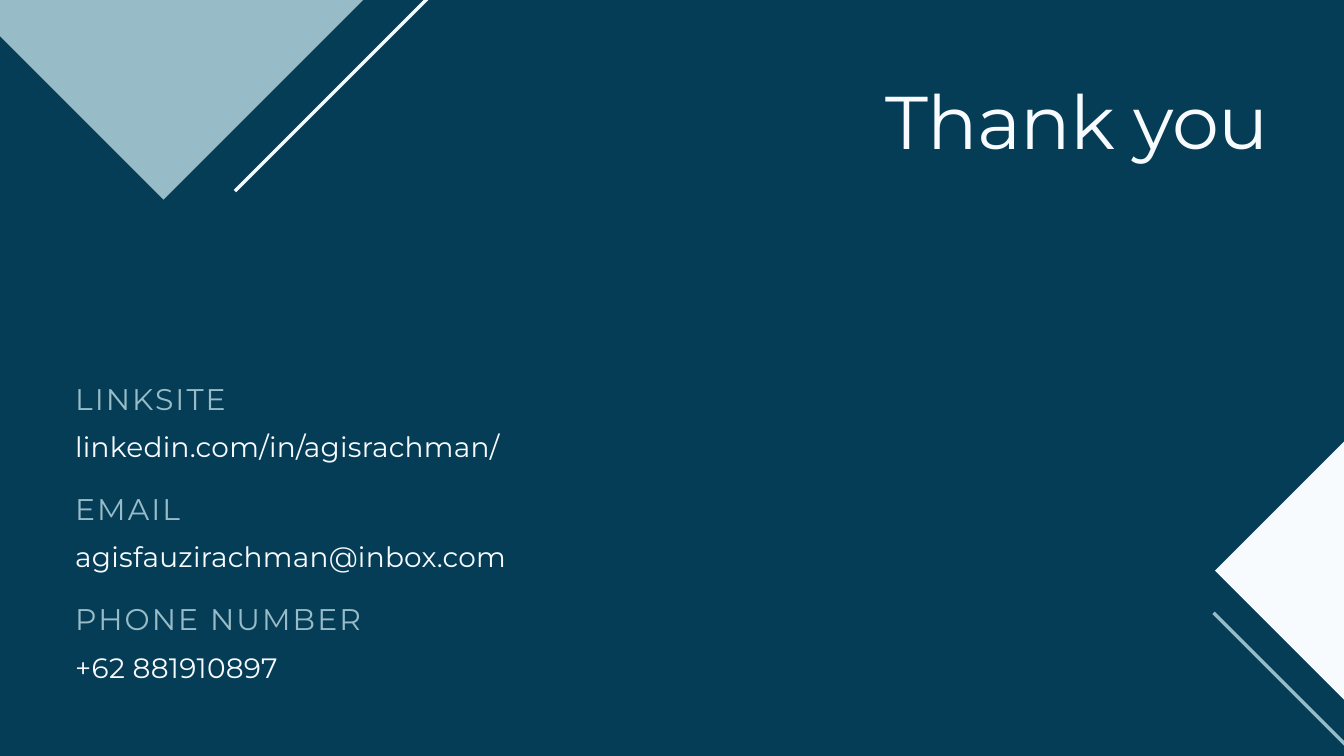
from dataclasses import dataclass

from pptx import Presentation
from pptx.dml.color import RGBColor
from pptx.enum import shapes, text
from pptx.oxml import ns
from pptx.util import Cm, Pt
from lxml import etree


@dataclass(frozen=True)
class Style:
    size: float
    lead: float
    track: int
    color: str


class Theme:
    font = "Montserrat"
    navy = "053D57"
    mist = "97BCC7"
    snow = "F8FBFD"
    title = Style(80, 96, -80, snow)
    label = Style(32, 44.8, 220, mist)
    value = Style(30, 45, 30, snow)
    rule = 3.6


CONTACTS = [
    ("LINKSITE", "linkedin.com/in/agisrachman/"),
    ("EMAIL", "agisfauzirachman@inbox.com"),
    ("PHONE NUMBER", "+62 881910897"),
]


def rgb(code):
    return RGBColor.from_string(code)


def place(holder, left, top, width, height):
    """Move a placeholder and make its frame plain."""
    holder.left, holder.top = Cm(left), Cm(top)
    holder.width, holder.height = Cm(width), Cm(height)
    frame = holder.text_frame
    frame.margin_left = frame.margin_right = 0
    frame.margin_top = frame.margin_bottom = 0
    frame.word_wrap = True
    frame.auto_size = text.MSO_AUTO_SIZE.NONE
    frame.vertical_anchor = text.MSO_ANCHOR.TOP
    return frame


def write(para, words, style, align, before=0):
    para.text = words
    para.alignment = align
    para.line_spacing = Pt(style.lead)
    para.space_before, para.space_after = Pt(before), Pt(0)
    for run in para.runs:
        run.font.name = Theme.font
        run.font.size = Pt(style.size)
        run.font.color.rgb = rgb(style.color)
        run.font._element.set("spc", str(style.track))


def unbullet(para):
    props = para._p.get_or_add_pPr()
    props.set("marL", "0")
    props.set("indent", "0")
    etree.SubElement(props, ns.qn("a:buNone"))


def add_title(slide, words):
    frame = place(slide.shapes.title, 17.5, 2.82, 30.45, 3.4)
    write(frame.paragraphs[0], words, Theme.title, text.PP_ALIGN.RIGHT)


def add_list(slide, pairs):
    frame = place(slide.placeholders[1], 2.84, 14.15, 23.83, 12)
    left = text.PP_ALIGN.LEFT
    for i, (label, value) in enumerate(pairs):
        head = frame.add_paragraph() if i else frame.paragraphs[0]
        body = frame.add_paragraph()
        unbullet(head)
        unbullet(body)
        write(head, label, Theme.label, left, 22.7 if i else 0)
        write(body, value, Theme.value, left, 5.6)


def add_gem(slide, x, y, size, color):
    """Diamond centred on x, y."""
    gem = slide.shapes.add_shape(
        shapes.MSO_SHAPE.DIAMOND,
        Cm(x - size / 2), Cm(y - size / 2), Cm(size), Cm(size))
    gem.shadow.inherit = False
    gem.fill.solid()
    gem.fill.fore_color.rgb = rgb(color)
    gem.line.fill.background()


def add_rule(slide, x, y, dx, dy, color):
    rule = slide.shapes.add_connector(
        shapes.MSO_CONNECTOR.STRAIGHT, Cm(x), Cm(y), Cm(x + dx), Cm(y + dy))
    rule.line.color.rgb = rgb(color)
    rule.line.width = Pt(Theme.rule)
    etree.SubElement(rule._element.spPr, ns.qn("a:effectLst"))


def main():
    deck = Presentation()
    deck.slide_width, deck.slide_height = Cm(50.8), Cm(28.58)
    slide = deck.slides.add_slide(deck.slide_layouts[1])
    fill = slide.background.fill
    fill.solid()
    fill.fore_color.rgb = rgb(Theme.navy)

    # Text
    add_title(slide, "Thank you")
    add_list(slide, CONTACTS)

    # Top left corner
    add_gem(slide, 6.18, -0.52, 16.13, Theme.mist)
    add_rule(slide, 8.88, 7.22, 13.1, -13.1, Theme.snow)

    # Bottom right corner
    add_rule(slide, 45.87, 23.17, 7.04, 7.04, Theme.mist)
    add_gem(slide, 52.93, 21.57, 14.01, Theme.snow)

    deck.save("out.pptx")


if __name__ == "__main__":
    main()
